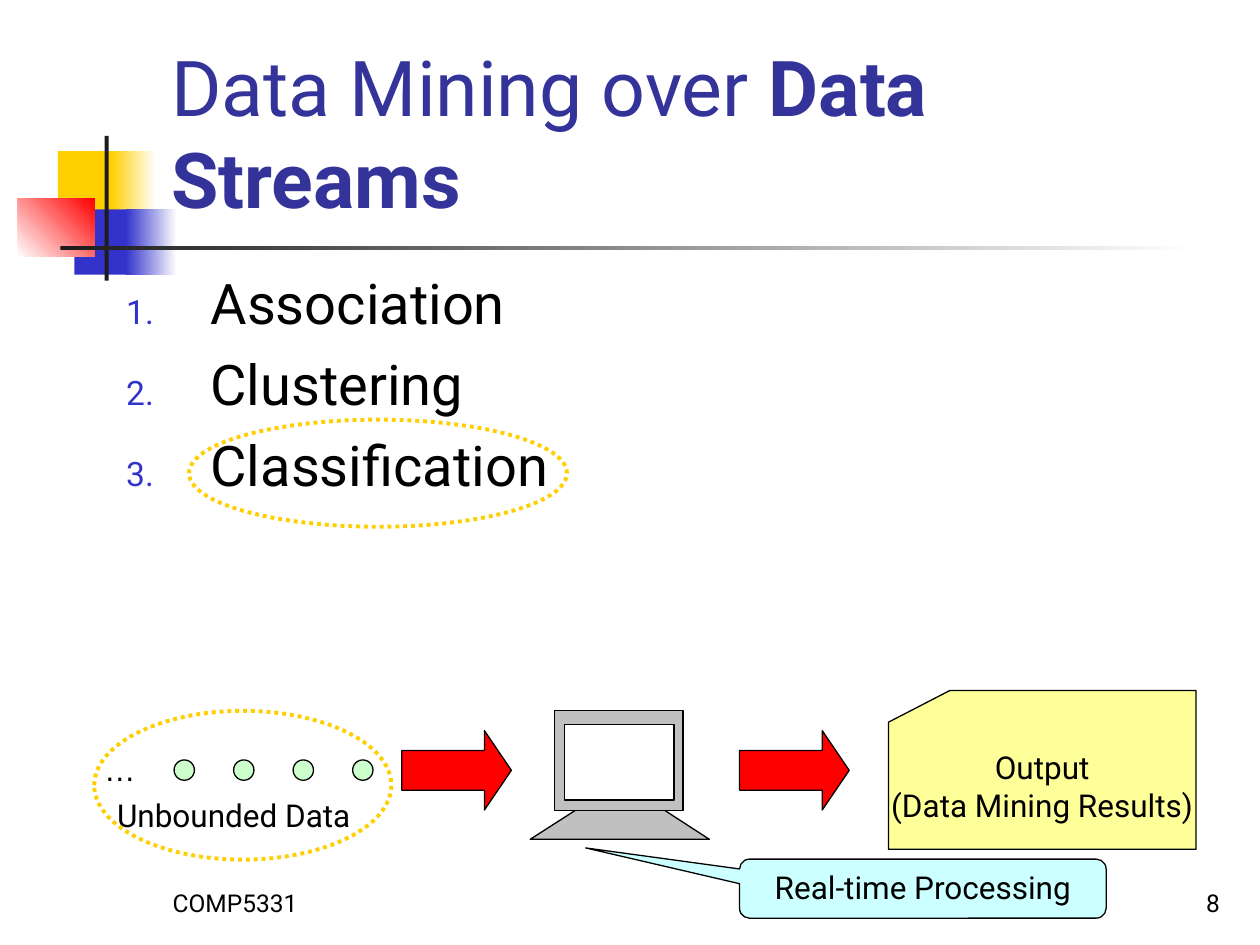
from lxml.etree import SubElement
from pptx import Presentation
from pptx.dml.color import RGBColor
from pptx.enum.dml import MSO_LINE_DASH_STYLE as Dash
from pptx.enum.shapes import MSO_SHAPE as Geo
from pptx.enum.text import MSO_ANCHOR as Anchor, MSO_AUTO_SIZE as AutoSize, PP_ALIGN as Align
from pptx.oxml.ns import qn
from pptx.util import Cm, Pt

THEME = {
    "font": "Roboto", "ellipsis_font": "Arial",
    "title": 44, "body": 32, "label": 18, "footer": 14,
    "ink": "000000", "white": "FFFFFF", "heading": "333399", "blue": "3333CC",
    "gold": "FFCF01", "red": "FF0000", "charcoal": "1C1C1C", "grey": "C0C0C0",
    "mint": "CCFFCC", "card": "FFFF99", "callout": "CCFFFF",
    "outline": 0.75, "highlight": 2.25,
}

# Text pieces: (words, bold)
TITLE = [("Data Mining over ", False), ("Data Streams", True)]
TASKS = ["Association", "Clustering", "Classification"]
OUTPUT = ["Output", "(Data Mining Results)"]
PROCESSING = "Real-time Processing"

# Boxes are left, top, width, height in centimetres
TITLE_BOX = (3.2, 0.58, 21.64, 4.06)
TASKS_BOX = (2.29, 5.28, 21.59, 8.43)
NUMBER_INDENT = 1.7

# Ornament: box, start colour, end colour (None when plain), gradient angle
ORNAMENT = [
    ((1.17, 3.05, 1.22, 1.32), "gold", None, 0),
    ((2.24, 3.05, 0.91, 1.32), "gold", "white", 0),
    ((1.5, 4.22, 1.17, 1.32), "blue", None, 0),
    ((2.54, 4.22, 1.02, 1.32), "blue", "white", 0),
    ((0.36, 4.01, 1.55, 1.17), "white", "red", 45),
    ((2.11, 2.74, 0.08, 2.92), "charcoal", None, 0),
    ((1.22, 4.95, 22.86, 0.1), "charcoal", "white", 0),
]

# Labels: words, box, size, font, alignment, anchor, wrap
LABELS = [
    ("COMP5331", (3.23, 17.35, 5.28, 1.27), "footer", "font", Align.LEFT, Anchor.BOTTOM, True),
    ("8", (19.56, 17.35, 5.28, 1.27), "footer", "font", Align.RIGHT, Anchor.BOTTOM, True),
    ("…", (1.85, 14.99, 1.14, 1.02), "label", "ellipsis_font", Align.LEFT, Anchor.TOP, False),
    ("Unbounded Data", (2.11, 15.93, 5.64, 1.02), "label", "font", Align.LEFT, Anchor.TOP, False),
]

MONITOR = [((11.18, 14.33, 2.59, 2.01), "grey"), ((11.38, 14.61, 2.21, 1.52), "white")]
KEYBOARD = [(14.3, 16.92), (13.39, 16.33), (11.61, 16.33), (10.69, 16.92)]
ARROW_LEFTS = [8.1, 14.91]
ARROW_TOP, ARROW_SIZE = 14.73, (2.21, 1.6)
DOT_COUNT, DOT_LEFT, DOT_TOP, DOT_PITCH, DOT_SIZE = 4, 3.51, 15.32, 1.2, 0.41
CARD_BOX = (17.91, 13.92, 6.2, 3.2)
CALLOUT_BOX = (14.91, 17.32, 7.39, 1.19)
STREAM_RING = (1.9, 14.33, 5.99, 3)
TASK_RING = (3.81, 8.46, 7.62, 2.16)


def rgb(name):
    return RGBColor.from_string(THEME[name])


def cm(box):
    return [Cm(value) for value in box]


def add_run(paragraph, words, size, color="ink", font="font", bold=False):
    run = paragraph.add_run()
    run.text = words
    run.font.name, run.font.size = THEME[font], Pt(THEME[size])
    run.font.color.rgb, run.font.bold = rgb(color), bold


def style(shape, fill=None, line="ink"):
    shape.shadow.inherit = False
    if fill:
        shape.fill.solid()
        shape.fill.fore_color.rgb = rgb(fill)
    else:
        shape.fill.background()
    if line:
        shape.line.color.rgb = rgb(line)
        shape.line.width = Pt(THEME["outline"])
    else:
        shape.line.fill.background()
    return shape


def add_figure(shapes, geometry, box, fill=None, line="ink"):
    return style(shapes.add_shape(geometry, *cm(box)), fill, line)


def add_ring(shapes, box):
    ring = add_figure(shapes, Geo.OVAL, box, line="gold")
    ring.line.width = Pt(THEME["highlight"])
    ring.line.dash_style = Dash.ROUND_DOT


def write_centred(shape, lines, anchor, wrap):
    frame = shape.text_frame
    frame.word_wrap, frame.vertical_anchor = wrap, anchor
    for index, words in enumerate(lines):
        paragraph = frame.add_paragraph() if index else frame.paragraphs[0]
        paragraph.alignment = Align.CENTER
        add_run(paragraph, words, "label")


def number(paragraph):
    """Give the paragraph a small coloured number with a hanging indent."""
    props = paragraph._p.get_or_add_pPr()
    props.set("marL", str(Cm(NUMBER_INDENT)))
    props.set("indent", str(-Cm(NUMBER_INDENT)))
    color = SubElement(props, qn("a:buClr"))
    SubElement(color, qn("a:srgbClr"), val=THEME["blue"])
    SubElement(props, qn("a:buSzPct"), val="60000")
    SubElement(props, qn("a:buFont"), typeface=THEME["font"])
    SubElement(props, qn("a:buAutoNum"), type="arabicPeriod")


def place(placeholder, box, anchor):
    placeholder.left, placeholder.top, placeholder.width, placeholder.height = cm(box)
    frame = placeholder.text_frame
    frame.auto_size, frame.word_wrap, frame.vertical_anchor = AutoSize.NONE, True, anchor
    return frame


def add_headings(slide):
    heading = place(slide.shapes.title, TITLE_BOX, Anchor.BOTTOM).paragraphs[0]
    heading.alignment = Align.LEFT
    for words, bold in TITLE:
        add_run(heading, words, "title", "heading", bold=bold)
    tasks = place(slide.placeholders[1], TASKS_BOX, Anchor.TOP)
    for index, task in enumerate(TASKS):
        paragraph = tasks.add_paragraph() if index else tasks.paragraphs[0]
        number(paragraph)
        paragraph.space_before = Pt(8 if index else 0)
        add_run(paragraph, task, "body")


def add_ornament(shapes):
    for box, start, end, angle in ORNAMENT:
        block = add_figure(shapes, Geo.RECTANGLE, box, start, None)
        if end:
            block.fill.gradient()
            block.fill.gradient_angle = angle
            for stop, color in zip(block.fill.gradient_stops, (start, end)):
                stop.color.rgb = rgb(color)


def add_labels(shapes):
    for words, box, size, font, alignment, anchor, wrap in LABELS:
        frame = shapes.add_textbox(*cm(box)).text_frame
        frame.word_wrap, frame.vertical_anchor = wrap, anchor
        frame.paragraphs[0].alignment = alignment
        add_run(frame.paragraphs[0], words, size, font=font)


def add_computer(shapes):
    computer = shapes.add_group_shape().shapes
    corners = [cm(point) for point in KEYBOARD]
    outline = computer.build_freeform(*corners[0])
    outline.add_line_segments(corners[1:], close=True)
    style(outline.convert_to_shape(), "grey")
    for box, fill in MONITOR:
        add_figure(computer, Geo.RECTANGLE, box, fill)


def add_flow(shapes):
    add_computer(shapes)
    for left in ARROW_LEFTS:
        arrow = add_figure(shapes, Geo.RIGHT_ARROW, (left, ARROW_TOP, *ARROW_SIZE), "red")
        arrow.adjustments[1] = 0.34
    card = add_figure(shapes, Geo.FLOWCHART_CARD, CARD_BOX, "card")
    write_centred(card, OUTPUT, Anchor.MIDDLE, False)
    for index in range(DOT_COUNT):
        dot_box = (DOT_LEFT + index * DOT_PITCH, DOT_TOP, DOT_SIZE, DOT_SIZE)
        add_figure(shapes, Geo.OVAL, dot_box, "mint")
    callout = add_figure(shapes, Geo.ROUNDED_RECTANGULAR_CALLOUT, CALLOUT_BOX, "callout")
    callout.adjustments[0], callout.adjustments[1] = -0.92, -0.69
    write_centred(callout, [PROCESSING], Anchor.TOP, True)


def main():
    deck = Presentation()
    deck.slide_width, deck.slide_height = Cm(25.4), Cm(19.05)
    slide = deck.slides.add_slide(deck.slide_layouts[1])
    add_headings(slide)
    add_ornament(slide.shapes)
    add_flow(slide.shapes)
    add_labels(slide.shapes)
    for box in (STREAM_RING, TASK_RING):
        add_ring(slide.shapes, box)
    deck.save("out.pptx")


if __name__ == "__main__":
    main()
